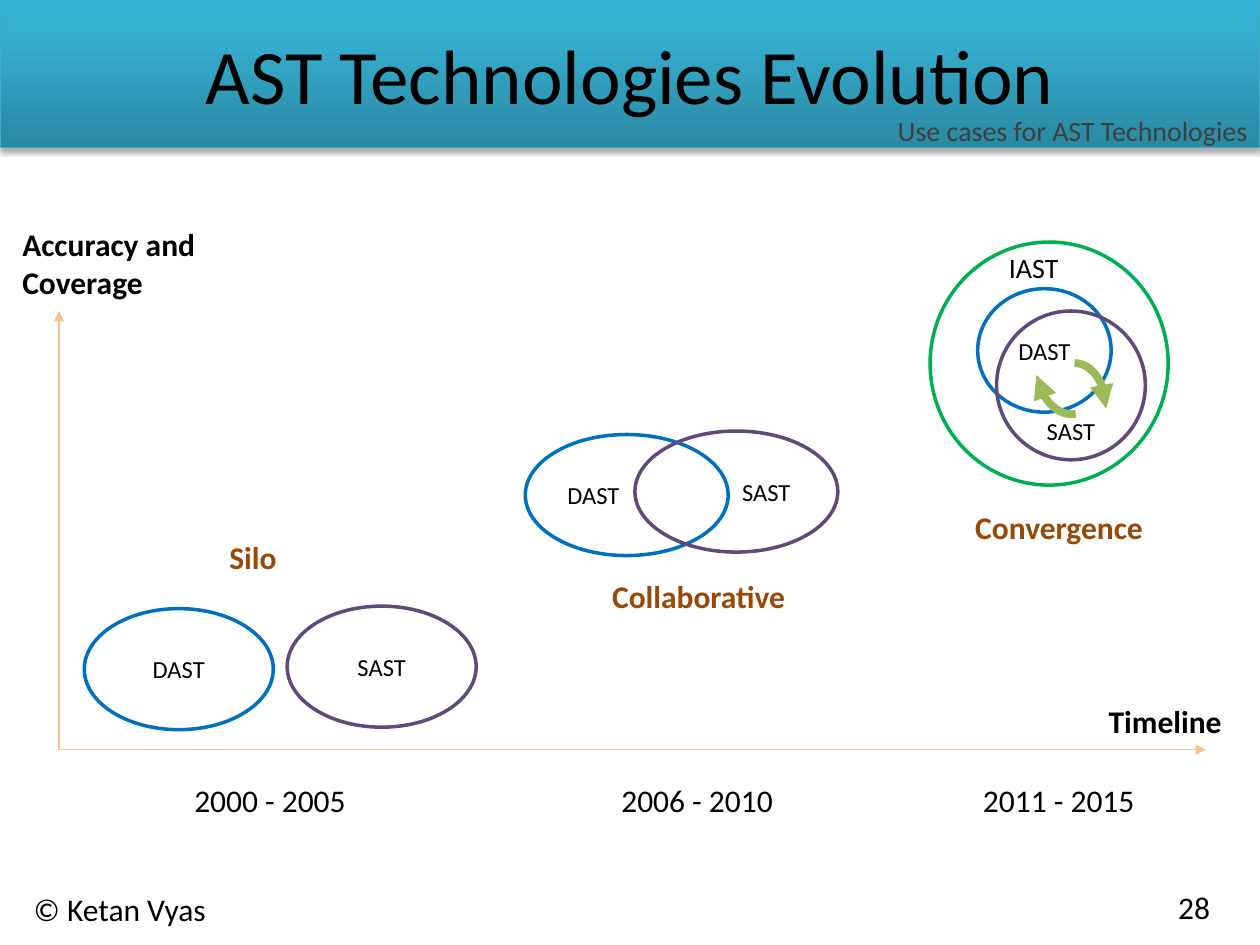
from copy import deepcopy
from dataclasses import dataclass

from lxml import etree
from pptx import Presentation
from pptx import util as u
from pptx.dml.color import RGBColor
from pptx.enum import shapes, text
from pptx.oxml.ns import qn


@dataclass(frozen=True)
class Theme:
    font: str = "Calibri"
    black: str = "000000"
    gray: str = "404040"
    brown: str = "984807"
    axis: str = "FAC090"
    blue: str = "0070C0"
    purple: str = "604A7B"
    green: str = "00B050"
    arrow: str = "9BBB59"
    band_line: str = "46AAC5"
    band_stops: tuple = ((0, "2A88A2"), (0.8, "37B1D2"), (1, "34B4D6"))
    title: int = 44
    body: int = 18
    note: int = 16
    ring: int = 14


THEME = Theme()
LEFT, CENTER, RIGHT = text.PP_ALIGN.LEFT, text.PP_ALIGN.CENTER, text.PP_ALIGN.RIGHT
MIDDLE = text.MSO_ANCHOR.MIDDLE

# Content: every length is in centimetres
WIDTH, HEIGHT = 25.4, 19.05
BAND_HEIGHT = 2.97
LINE_HEIGHT = 1.02
ORIGIN, AXIS_RIGHT, AXIS_TOP = (1.19, 15.11), 24.31, 6.27

TITLE = ("AST Technologies Evolution", (1.27, 0.43, 22.86, 2.11))
SUBTITLE = ("Use cases for AST Technologies", (0, 2.16, WIDTH, 0.94))
FOOTERS = [("© Ketan Vyas", (0.43, 17.81, 6.99, LINE_HEIGHT)),
           ("28", (23.5, 17.78, 1.7, LINE_HEIGHT))]
AXIS_LABELS = [(["Accuracy and", "Coverage"], (0.2, 4.42, 4.1, 1.8)),
               (["Timeline"], (22.1, 14.02, 3.2, LINE_HEIGHT))]
PERIODS = [("2000 - 2005", 1.7), ("2006 - 2010", 10.31), ("2011 - 2015", 17.6)]
PERIOD_TOP, PERIOD_WIDTH = 15.62, 7.49
STAGES = [("Silo", 3.05, 10.72, CENTER), ("Collaborative", 12.09, 11.51, LEFT),
          ("Convergence", 19.41, 10.11, LEFT)]
STAGE_WIDTH = 4.1
# label, colour, place, alignment, extra left inset, extra top inset
RINGS = [
    ("DAST", THEME.blue, (10.59, 8.76, 4.09, 2.44), LEFT, 0, 0),
    ("SAST", THEME.purple, (12.8, 8.69, 4.09, 2.44), CENTER, 1.2, 0),
    ("DAST", THEME.blue, (1.7, 12.27, 3.81, 2.44), CENTER, 0, 0),
    ("SAST", THEME.purple, (5.79, 12.22, 3.81, 2.44), CENTER, 0, 0),
    ("DAST", THEME.blue, (19.71, 5.82, 2.69, 2.49), CENTER, 0, 0),
    ("SAST", THEME.purple, (20.09, 6.27, 3, 3), CENTER, 0, 1.83),
    ("", THEME.green, (18.75, 4.88, 4.8, 4.9), CENTER, 0, 0),
]
IAST = ("IAST", (20.09, 4.93, 1.8, 0.94))
CYCLE_ARROWS = [((21.03, 7.32, 1.27, 1.83), 0), ((20.88, 6.53, 1.27, 1.83), 169.4)]


def color(code):
    return RGBColor.from_string(code)


def cm(place):
    return [u.Cm(length) for length in place]


def write(frame, lines, size, ink=THEME.black, align=LEFT, bold=False):
    frame.word_wrap = True
    for index, line in enumerate(lines):
        para = frame.add_paragraph() if index else frame.paragraphs[0]
        para.alignment = align
        span = para.add_run()
        span.text = line
        span.font.name, span.font.size, span.font.bold = THEME.font, u.Pt(size), bold
        span.font.color.rgb = color(ink)


def add_text(page, lines, place, size=THEME.body, **style):
    box = page.shapes.add_textbox(*cm(place))
    write(box.text_frame, lines, size, **style)
    return box


def add_outline(page, kind, place, ink, weight):
    shape = page.shapes.add_shape(kind, *cm(place))
    shape.shadow.inherit = False
    shape.fill.background()
    shape.line.color.rgb = color(ink)
    shape.line.width = u.Pt(weight)
    return shape


def add_arrowhead(line):
    etree.SubElement(line.get_or_add_ln(), qn("a:tailEnd"), type="triangle")


def add_band(page):
    band = add_outline(page, shapes.MSO_SHAPE.RECTANGLE, (0, 0, WIDTH, BAND_HEIGHT),
                       THEME.band_line, 0.75)
    band.fill.gradient()
    band.fill.gradient_angle = 90
    stop_list = band.element.spPr.find(".//" + qn("a:gsLst"))
    stop_list.append(deepcopy(stop_list[-1]))
    for stop, (position, ink) in zip(band.fill.gradient_stops, THEME.band_stops):
        stop.position = position
        stop.color.rgb = color(ink)
    effects = band.element.spPr.find(qn("a:effectLst"))
    shadow = etree.SubElement(effects, qn("a:outerShdw"), blurRad=str(u.Pt(3.1)),
                              dist=str(u.Pt(1.8)), dir="5400000", rotWithShape="0")
    shade = etree.SubElement(shadow, qn("a:srgbClr"), val=THEME.black)
    etree.SubElement(shade, qn("a:alpha"), val="35000")


def add_axis(page, end):
    axis = page.shapes.add_connector(shapes.MSO_CONNECTOR.STRAIGHT, *cm(ORIGIN + end))
    axis.line.color.rgb = color(THEME.axis)
    axis.line.width = u.Pt(1)
    add_arrowhead(axis)
    etree.SubElement(axis.element.spPr, qn("a:effectLst"))


def add_arrowhead_arc(page, place, turn):
    arc = add_outline(page, shapes.MSO_SHAPE.ARC, place, THEME.arrow, 4.5)
    arc.rotation = turn
    add_arrowhead(arc)


def add_ring(page, label, ink, place, align, left, top):
    ring = add_outline(page, shapes.MSO_SHAPE.OVAL, place, ink, 2)
    if label:
        frame = ring.text_frame
        frame.vertical_anchor = MIDDLE
        frame.margin_left += u.Cm(left)
        frame.margin_top += u.Cm(top)
        write(frame, [label], THEME.ring, align=align)


def main():
    deck = Presentation()
    deck.slide_width, deck.slide_height = u.Cm(WIDTH), u.Cm(HEIGHT)
    page = deck.slides.add_slide(deck.slide_layouts[6])

    # Header and footer
    add_band(page)
    for label, place in FOOTERS:
        add_text(page, [label], place)
    label, place = TITLE
    title = add_text(page, [label], place, THEME.title, align=CENTER)
    title.text_frame.vertical_anchor = MIDDLE

    # Axes
    for end in ((AXIS_RIGHT, ORIGIN[1]), (ORIGIN[0], AXIS_TOP)):
        add_axis(page, end)

    # Technology rings
    for ring in RINGS:
        add_ring(page, *ring)
    label, place = IAST
    add_text(page, [label], place, THEME.note)

    # Periods, axis labels and stage names
    for label, left in PERIODS:
        add_text(page, [label], (left, PERIOD_TOP, PERIOD_WIDTH, LINE_HEIGHT), align=CENTER)
    for lines, place in AXIS_LABELS:
        add_text(page, lines, place, bold=True)
    for label, left, top, align in STAGES:
        add_text(page, [label], (left, top, STAGE_WIDTH, LINE_HEIGHT),
                 ink=THEME.brown, align=align, bold=True)

    # Cycle between DAST and SAST
    for place, turn in CYCLE_ARROWS:
        add_arrowhead_arc(page, place, turn)

    label, place = SUBTITLE
    add_text(page, [label], place, THEME.note, ink=THEME.gray, align=RIGHT)
    deck.save("out.pptx")


if __name__ == "__main__":
    main()
